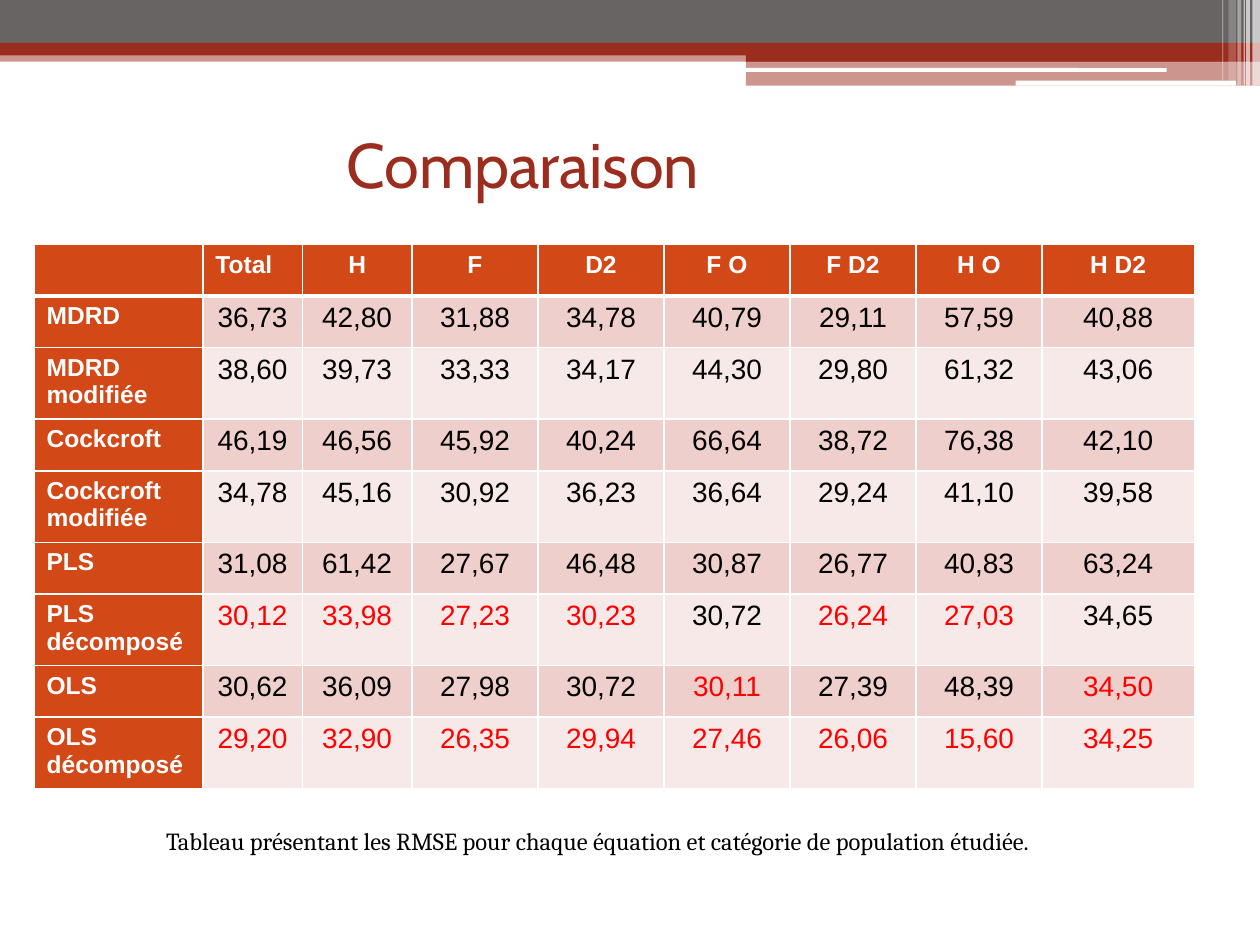
from lxml import etree
from pptx import Presentation
from pptx import util as u
from pptx.dml.color import RGBColor
from pptx.enum import shapes, text
from pptx.oxml import ns

RED = RGBColor(0x9B, 0x2D, 0x1F)
GREY = RGBColor(0x69, 0x64, 0x64)
ORANGE = RGBColor(0xD3, 0x48, 0x17)
PINK = RGBColor(0xEF, 0xCF, 0xCC)
PALE = RGBColor(0xF7, 0xE9, 0xE8)
BRIGHT_RED = RGBColor(0xFF, 0x00, 0x00)
WHITE = RGBColor(0xFF, 0xFF, 0xFF)
BLACK = RGBColor(0x00, 0x00, 0x00)

TITLE = {"name": "Cabin", "size": u.Pt(36), "color": RED}
CAPTION = {"name": "Cambria", "size": u.Pt(14), "color": BLACK}
HEADING = {"name": "Arial", "size": u.Pt(14), "bold": True, "color": WHITE}
VALUE = {"name": "Arial", "size": u.Pt(16), "bold": False, "color": BLACK}
BEST_VALUE = {**VALUE, "color": BRIGHT_RED}

COLUMNS = ["", "Total", "H", "F", "D2", "F O", "F D2", "H O", "H D2"]
COLUMN_WIDTHS = [1.34, 0.79, 0.87, 1, 1, 1, 1, 1, 1.21]
RMSE = {
    "MDRD": "36,73 42,80 31,88 34,78 40,79 29,11 57,59 40,88",
    "MDRD modifiée": "38,60 39,73 33,33 34,17 44,30 29,80 61,32 43,06",
    "Cockcroft": "46,19 46,56 45,92 40,24 66,64 38,72 76,38 42,10",
    "Cockcroft modifiée": "34,78 45,16 30,92 36,23 36,64 29,24 41,10 39,58",
    "PLS": "31,08 61,42 27,67 46,48 30,87 26,77 40,83 63,24",
    "PLS décomposé": "30,12 33,98 27,23 30,23 30,72 26,24 27,03 34,65",
    "OLS": "30,62 36,09 27,98 30,72 30,11 27,39 48,39 34,50",
    "OLS décomposé": "29,20 32,90 26,35 29,94 27,46 26,06 15,60 34,25",
}
# Columns whose values are shown in red
BEST_COLUMNS = {
    "PLS décomposé": {"Total", "H", "F", "D2", "F D2", "H O"},
    "OLS": {"F O", "H D2"},
    "OLS décomposé": set(COLUMNS),
}


def write(paragraph, words, font_format):
    run = paragraph.add_run()
    run.text = words
    for name, value in font_format.items():
        if name == "color":
            run.font.color.rgb = value
        else:
            setattr(run.font, name, value)


def add_bar(slide, box, color, opacity=100, rounded=False):
    kind = shapes.MSO_SHAPE.ROUNDED_RECTANGLE if rounded else shapes.MSO_SHAPE.RECTANGLE
    shape = slide.shapes.add_shape(kind, *map(u.Inches, box))
    shape.shadow.inherit = False
    shape.fill.solid()
    shape.fill.fore_color.rgb = color
    shape.line.fill.background()
    if opacity < 100:
        fill_color = shape.fill._xPr.find(".//" + ns.qn("a:srgbClr"))
        etree.SubElement(fill_color, ns.qn("a:alpha"), val=str(opacity * 1000))


def add_banner(slide, left, top, width):
    # Bands across the full width
    add_bar(slide, (left, top + 0.4, width, 0.09), RED, 50)
    add_bar(slide, (left, top, width, 0.34), GREY)
    add_bar(slide, (left, top + 0.34, width, 0.1), RED)
    # Step on the right, with white slots
    right = left + width
    add_bar(slide, (right - 4.08, top + 0.39, 4.08, 0.1), RED)
    add_bar(slide, (right - 4.08, top + 0.48, 4.08, 0.2), RED, 50)
    add_bar(slide, (right - 4.09, top + 0.54, 3.35, 0.03), WHITE, rounded=True)
    add_bar(slide, (right - 1.94, top + 0.64, 1.75, 0.04), WHITE, rounded=True)
    # Translucent stripes at the right edge: offset, width, height, opacity
    for offset, stripe, height, opacity in [
        (0.06, 0.06, 0.68, 65), (0.11, 0.03, 0.68, 65), (0.13, 0.01, 0.68, 60),
        (0.18, 0.03, 0.68, 40), (0.25, 0.06, 0.64, 20), (0.3, 0.01, 0.64, 30),
    ]:
        add_bar(slide, (right - offset, top, stripe, height), WHITE, opacity)


def add_text(slide, box, words, font_format, **frame_format):
    frame = slide.shapes.add_textbox(*map(u.Inches, box)).text_frame
    for name, value in {"word_wrap": True, **frame_format}.items():
        setattr(frame, name, value)
    write(frame.paragraphs[0], words, font_format)


def add_borders(cell, bottom_width):
    properties = cell._tc.get_or_add_tcPr()
    for side, width in {"L": 1, "R": 1, "T": 1, "B": bottom_width}.items():
        line = etree.SubElement(properties, ns.qn("a:ln" + side), w=str(u.Pt(width)))
        fill = etree.SubElement(line, ns.qn("a:solidFill"))
        etree.SubElement(fill, ns.qn("a:srgbClr"), val=str(WHITE))


def fill_cell(cell, words, font_format, color, centred, bottom_width=1):
    add_borders(cell, bottom_width)
    cell.fill.solid()
    cell.fill.fore_color.rgb = color
    paragraph = cell.text_frame.paragraphs[0]
    if centred:
        paragraph.alignment = text.PP_ALIGN.CENTER
    if words:
        write(paragraph, words, font_format)


def add_rmse_table(slide, left, top, row_height):
    row_count = len(RMSE) + 1
    box = (left, top, sum(COLUMN_WIDTHS), row_height * row_count)
    table = slide.shapes.add_table(
        row_count, len(COLUMNS), *map(u.Inches, box)).table
    for column, width in zip(table.columns, COLUMN_WIDTHS):
        column.width = u.Inches(width)
    for row in table.rows:
        row.height = u.Inches(row_height)

    # Header row
    for index, name in enumerate(COLUMNS):
        fill_cell(table.cell(0, index), name, HEADING, ORANGE, index > 1, 3)
    # One row for each equation
    for row, (equation, values) in enumerate(RMSE.items(), 1):
        fill_cell(table.cell(row, 0), equation, HEADING, ORANGE, False)
        band = PINK if row % 2 else PALE
        best = BEST_COLUMNS.get(equation, set())
        for index, value in enumerate(values.split(), 1):
            font_format = BEST_VALUE if COLUMNS[index] in best else VALUE
            fill_cell(table.cell(row, index), value, font_format, band, True)


def main():
    presentation = Presentation()
    presentation.slide_width = u.Inches(10)
    presentation.slide_height = u.Inches(7.5)
    slide = presentation.slides.add_slide(presentation.slide_layouts[6])

    add_banner(slide, 0, 0, 10)
    add_text(slide, (0.43, 0.99, 9, 1.17), "Comparaison", TITLE,
             margin_left=u.Inches(2.32), margin_top=u.Inches(0.01))
    add_text(slide, (1.22, 6.51, 7.88, 0.34),
             "Tableau présentant les RMSE pour chaque équation et catégorie "
             "de population étudiée.", CAPTION)
    add_rmse_table(slide, 0.27, 1.94, 0.41)
    presentation.save("out.pptx")


if __name__ == "__main__":
    main()
